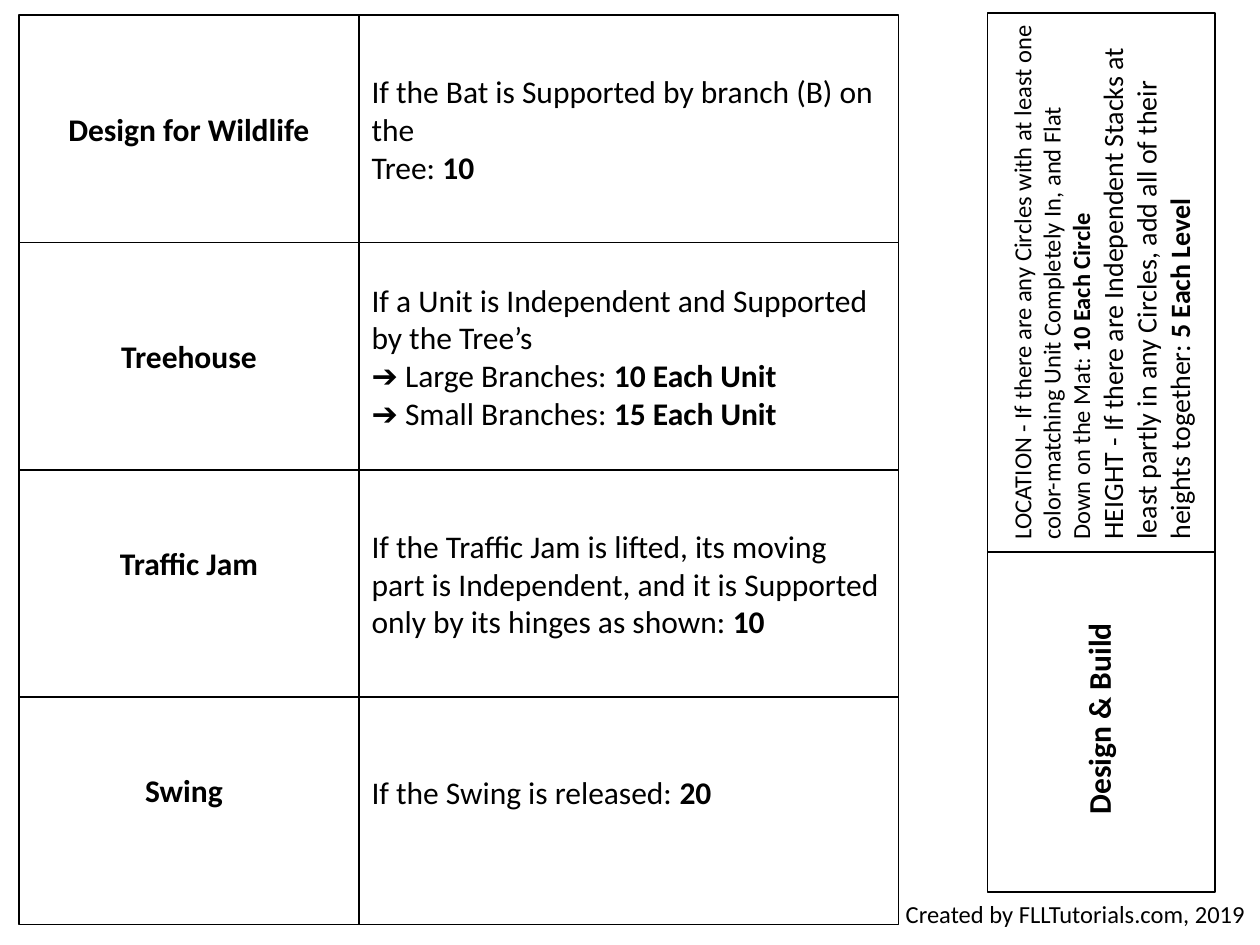
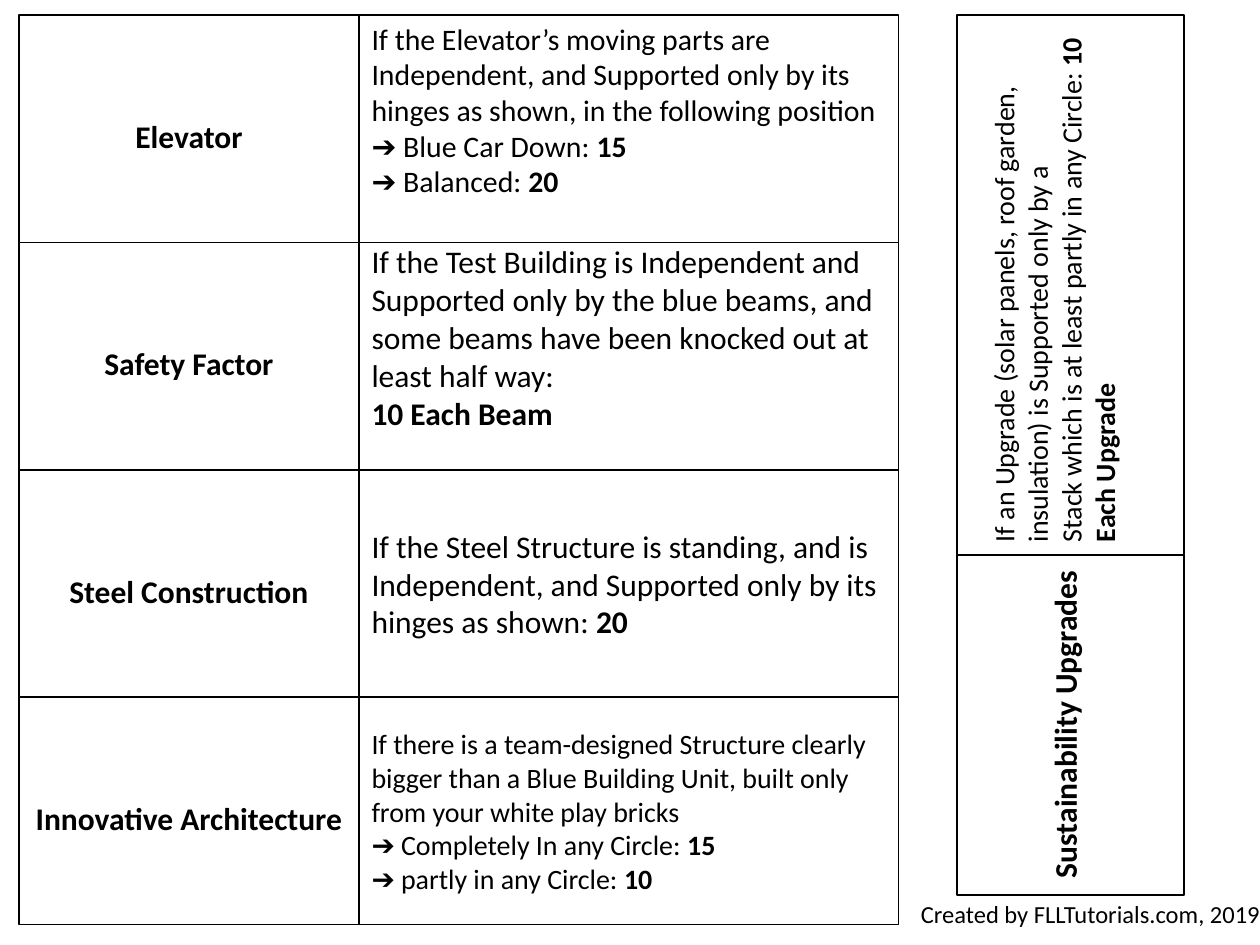
from pptx import Presentation
from pptx.dml.color import RGBColor
from pptx.enum import shapes, text
from pptx.util import Pt

COLORS = {"paper": "FFFFFF", "ink": "000000"}
FONT = "Calibri"
LEFT, TOP = 10.8, 8.7
LABEL_W, RULE_W, ROW_H = 194.4, 308.2, 129.9
TEXT_H = 29.1
CREDIT = "Created by FLLTutorials.com, 2019"

# Each rule line is (size, text); ** switches bold on and off.
# Missions: name, label offset in the row (x, y), space kept below the rule, rule lines.
# Side card: name, card centre x, top, label centre (x, y), space kept below, rule lines.
SLIDES = [
    {
        "missions": [
            ("Design for Wildlife", 0, 50.4, 0, [
                (18, "If the Bat is Supported by branch (B) on the"),
                (18, "Tree: **10**")]),
            ("Treehouse", 0, 50.4, 0, [
                (18, "If a Unit is Independent and Supported by the Tree’s"),
                (18, "➔ Large Branches: **10 Each Unit**"),
                (18, "➔ Small Branches: **15 Each Unit**")]),
            ("Traffic Jam", 0, 38.9, 0, [
                (18, "If the Traffic Jam is lifted, its moving part is Independent, "
                     "and it is Supported only by its hinges as shown: **10**")]),
            ("Swing", -2.9, 38.9, 22, [
                (18, "If the Swing is released: **20**")]),
        ],
        "side": ("Design & Build", 629.3, 7.2, (627.8, 410.7), 0, [
            (14, "LOCATION - If there are any Circles with at least one "
                 "color-matching Unit Completely In, and Flat"),
            (14, "Down on the Mat: **10 Each Circle**"),
            (16, "HEIGHT - If there are Independent Stacks at least partly in any "
                 "Circles, add all of their heights together: **5 Each Level**")]),
        "credit_left": 510.5,
    },
    {
        "missions": [
            ("Elevator", 0, 54.7, 22, [
                (17, "If the Elevator’s moving parts are Independent, and Supported "
                     "only by its hinges as shown, in the following position"),
                (17, "➔ Blue Car Down: **15**"),
                (17, "➔ Balanced: **20**")]),
            ("Safety Factor", 0, 54.7, 22, [
                (18, "If the Test Building is Independent and"),
                (18, "Supported only by the blue beams, and some beams have been "
                     "knocked out at least half way:"),
                (18, "**10 Each Beam**")]),
            ("Steel Construction", 0, 54.7, 0, [
                (18, "If the Steel Structure is standing, and is Independent, "
                     "and Supported only by its hinges as shown: **20**")]),
            ("Innovative Architecture", 0, 54.7, 0, [
                (16, "If there is a team-designed Structure clearly bigger than a "
                     "Blue Building Unit, built only from your white play bricks"),
                (16, "➔ Completely In any Circle: **15**"),
                (16, "➔ partly in any Circle: **10**")]),
        ],
        "side": ("Sustainability Upgrades", 611.8, 8.7, (608.4, 414), 19.5, [
            (16, "If an Upgrade (solar panels, roof garden, insulation) is "
                 "Supported only by a"),
            (16, "Stack which is at least partly in any Circle: **10 Each Upgrade**")]),
        "credit_left": 519.1,
    },
]


def write(sp, lines, align=text.PP_ALIGN.LEFT, below=0):
    tf = sp.text_frame
    tf.word_wrap = True
    tf.margin_bottom = Pt(3.6 + below)
    for i, (size, line) in enumerate(lines):
        p = tf.paragraphs[0] if i == 0 else tf.add_paragraph()
        p.alignment = align
        for j, part in enumerate(line.split("**")):
            if part:
                r = p.add_run()
                r.text = part
                r.font.name, r.font.size, r.font.bold = FONT, Pt(size), j % 2 == 1
                r.font.color.rgb = RGBColor.from_string(COLORS["ink"])


def add_box(slide, cx, cy, w, h, rotation=0, framed=True):
    frame = Pt(cx - w / 2), Pt(cy - h / 2), Pt(w), Pt(h)
    if framed:
        sp = slide.shapes.add_shape(shapes.MSO_SHAPE.RECTANGLE, *frame)
        sp.shadow.inherit = False
        sp.fill.solid()
        sp.fill.fore_color.rgb = RGBColor.from_string(COLORS["paper"])
        sp.line.color.rgb = RGBColor.from_string(COLORS["ink"])
        sp.line.width = Pt(1)
        sp.text_frame.vertical_anchor = text.MSO_ANCHOR.MIDDLE
    else:
        sp = slide.shapes.add_textbox(*frame)
    sp.rotation = rotation
    return sp


prs = Presentation()
prs.slide_width, prs.slide_height = Pt(720), Pt(540)

for content in SLIDES:
    slide = prs.slides.add_slide(prs.slide_layouts[6])

    # Mission rows: name on the left, scoring rule on the right
    label_x = LEFT + LABEL_W / 2
    rule_x = LEFT + LABEL_W + RULE_W / 2
    for row, (name, dx, dy, below, rule) in enumerate(content["missions"]):
        row_top = TOP + row * ROW_H
        row_y = row_top + ROW_H / 2
        add_box(slide, label_x, row_y, LABEL_W, ROW_H)
        label = add_box(slide, label_x + dx, row_top + dy + TEXT_H / 2,
                        LABEL_W, TEXT_H, framed=False)
        write(label, [(18, f"**{name}**")], text.PP_ALIGN.CENTER)
        write(add_box(slide, rule_x, row_y, RULE_W, ROW_H), rule, below=below)

    # Side card, turned to read upwards
    name, card_x, card_top, label_at, below, rule = content["side"]
    add_box(slide, card_x, card_top + RULE_W + LABEL_W / 2, LABEL_W, ROW_H, 270)
    label = add_box(slide, *label_at, LABEL_W, TEXT_H, 270, framed=False)
    write(label, [(18, f"**{name}**")], text.PP_ALIGN.CENTER)
    card = add_box(slide, card_x, card_top + RULE_W / 2, RULE_W, ROW_H, 270)
    write(card, rule, below=below)

    # Credit line
    credit = add_box(slide, content["credit_left"] + 104.8, 522.2, 209.6, 24.2,
                     framed=False)
    write(credit, [(14, CREDIT)])

prs.save("out.pptx")
